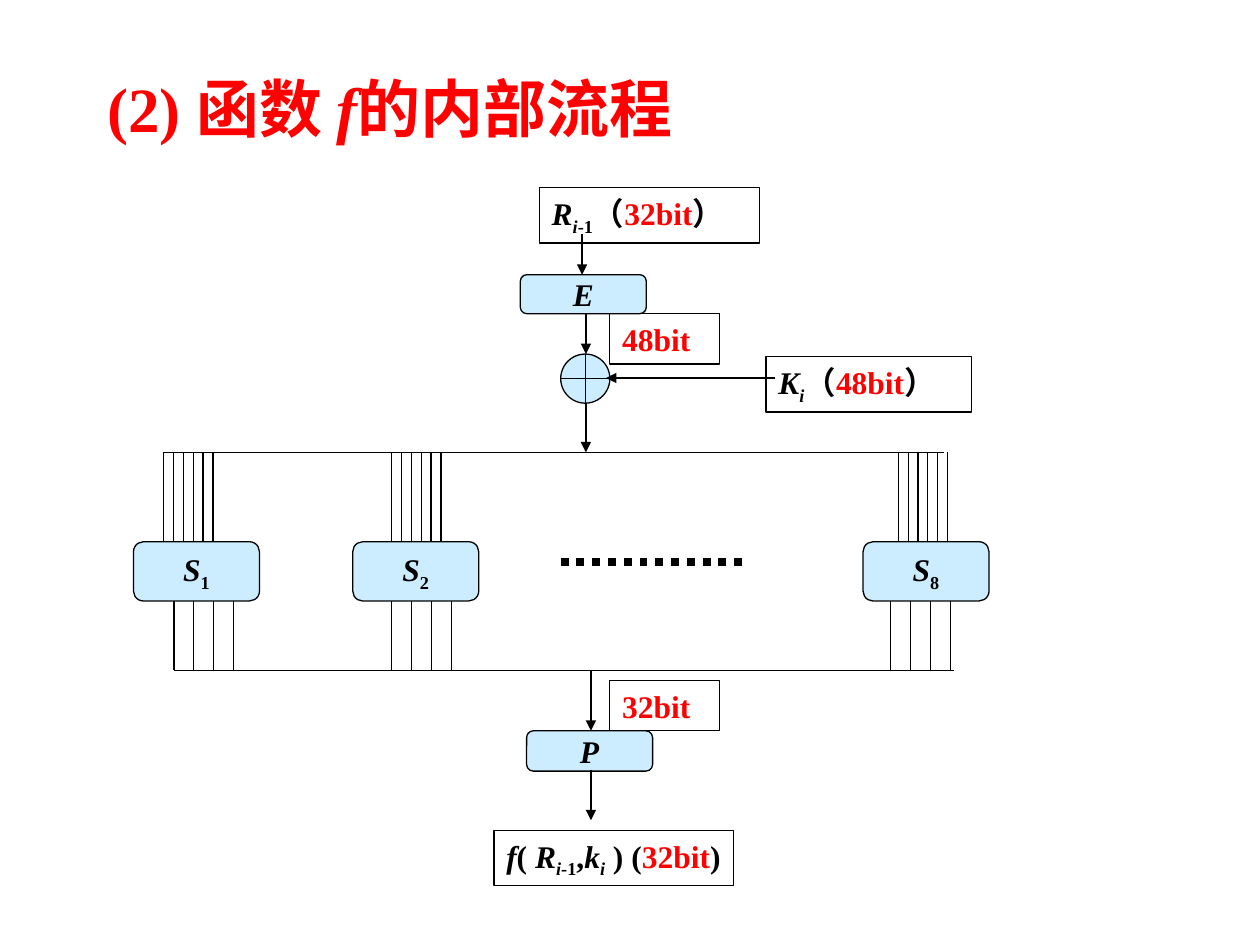
from lxml import etree
from pptx import Presentation
from pptx.dml.color import RGBColor
from pptx.enum.dml import MSO_LINE
from pptx.enum.shapes import MSO_CONNECTOR, MSO_SHAPE as SHAPE
from pptx.enum.text import MSO_ANCHOR as ANCHOR, MSO_AUTO_SIZE as AUTO, PP_ALIGN as ALIGN
from pptx.oxml.ns import qn
from pptx.util import Pt

PX = 9144  # 100 px to the inch
FONT = "Times New Roman"
BLACK, RED, PALE_BLUE = "000000", "FF0000", "CCECFF"
hex_color = RGBColor.from_string


def add_span(para, text, size=18, color=BLACK, italic=False, sub=False):
    span = para.add_run()
    span.text = text
    font = span.font
    font.name, font.size, font.bold, font.italic = FONT, Pt(size), True, italic
    font.color.rgb = hex_color(color)
    if sub:
        span._r.get_or_add_rPr().set("baseline", "-25000")


def add_line(x1, y1, x2, y2, width=0.75, arrow=False):
    ends = [round(v * PX) for v in (x1, y1, x2, y2)]
    line = page.shapes.add_connector(MSO_CONNECTOR.STRAIGHT, *ends)
    line.line.color.rgb = hex_color(BLACK)
    line.line.width = Pt(width)
    if arrow:
        etree.SubElement(line.line._get_or_add_ln(), qn("a:tailEnd"), type="triangle")
    etree.SubElement(line._element.spPr, qn("a:effectLst"))
    return line


deck = Presentation()
deck.slide_width, deck.slide_height = 1000 * PX, 750 * PX
page = deck.slides.add_slide(deck.slide_layouts[5])

# Title
title = page.shapes.title
title.left, title.top, title.width, title.height = 75 * PX, 60 * PX, 750 * PX, 50 * PX
frame = title.text_frame
frame.auto_size, frame.vertical_anchor = AUTO.NONE, ANCHOR.MIDDLE
para = frame.paragraphs[0]
para.alignment = ALIGN.LEFT
add_span(para, "(2) 函数 ", size=36, color=RED)
add_span(para, "f", size=36, color=RED, italic=True)
add_span(para, "的内部流程", size=36, color=RED)

# Span formats
var = dict(italic=True)
var_index = dict(italic=True, sub=True)
index = dict(sub=True)
bits = dict(color=RED)
plain = {}

# Operation blocks: left, top, width, height, spans
s_lefts = {"1": 106, "2": 280, "8": 685}
blocks = [(413, 218, 100, 31, [("E", var)]), (418, 580, 100, 32, [("P", var)])]
blocks += [(left, 430, 100, 47, [("S", var), (number, index)]) for number, left in s_lefts.items()]

# Value labels: left, top, width, height, spans
labels = [
    (428, 149, 175, 44, [("R", var), ("i", var_index), ("-1", index),
                         ("（", plain), ("32bit", bits), ("）", plain)]),
    (608, 283, 163, 44, [("K", var), ("i", var_index),
                         ("（", plain), ("48bit", bits), ("）", plain)]),
    (484, 249, 87, 40, [("48bit", bits)]),
    (484, 540, 87, 40, [("32bit", bits)]),
    (392, 659, 190, 44, [("f", var), ("( ", plain), ("R", var), ("i", var_index),
                         ("-1", index), (",", plain), ("k", var), ("i", var_index),
                         (" ) (", plain), ("32bit", bits), (")", plain)]),
]

# XOR node, blocks and labels
items = [(SHAPE.FLOWCHART_OR, (445, 281, 39, 39, []))]
items += [(SHAPE.ROUNDED_RECTANGLE, block) for block in blocks]
items += [(SHAPE.RECTANGLE, label) for label in labels]
for kind, (left, top, width, height, spans) in items:
    box = page.shapes.add_shape(kind, left * PX, top * PX, width * PX, height * PX)
    box.shadow.inherit = False
    box.line.color.rgb = hex_color(BLACK)
    box.line.width = Pt(0.75)
    is_label = kind == SHAPE.RECTANGLE
    if is_label:
        box.fill.background()
    else:
        box.fill.solid()
        box.fill.fore_color.rgb = hex_color(PALE_BLUE)
    frame = box.text_frame
    frame.word_wrap = is_label and len(spans) == 1
    frame.auto_size = AUTO.SHAPE_TO_FIT_TEXT if is_label else AUTO.NONE
    frame.vertical_anchor = ANCHOR.TOP if is_label else ANCHOR.MIDDLE
    para = frame.paragraphs[0]
    para.alignment = ALIGN.LEFT if is_label else ALIGN.CENTER
    for text, style in spans:
        add_span(para, text, **style)

# Flow arrows
for x1, y1, x2, y2 in [(462, 186, 462, 218), (465, 249, 465, 281), (465, 320, 465, 359),
                       (615, 300, 481, 300), (469, 532, 469, 580), (469, 611, 469, 651)]:
    add_line(x1, y1, x2, y2, arrow=True)

# Buses above and below the S-boxes
add_line(130, 359, 749, 359)
add_line(138, 532, 757, 532)

# Six input and four output wires for each S-box
for first_in, first_out in [(130, 138), (311, 311), (713, 707)]:
    for i in range(6):
        add_line(first_in + 7.8 * i, 359, first_in + 7.8 * i, 430)
    for i in range(4):
        add_line(first_out + 15.8 * i, 477, first_out + 15.8 * i, 532)

# Dots for the S-boxes left out
dots = add_line(445, 446, 594, 446, width=4.5)
dots.line.dash_style = MSO_LINE.ROUND_DOT

deck.save("out.pptx")
